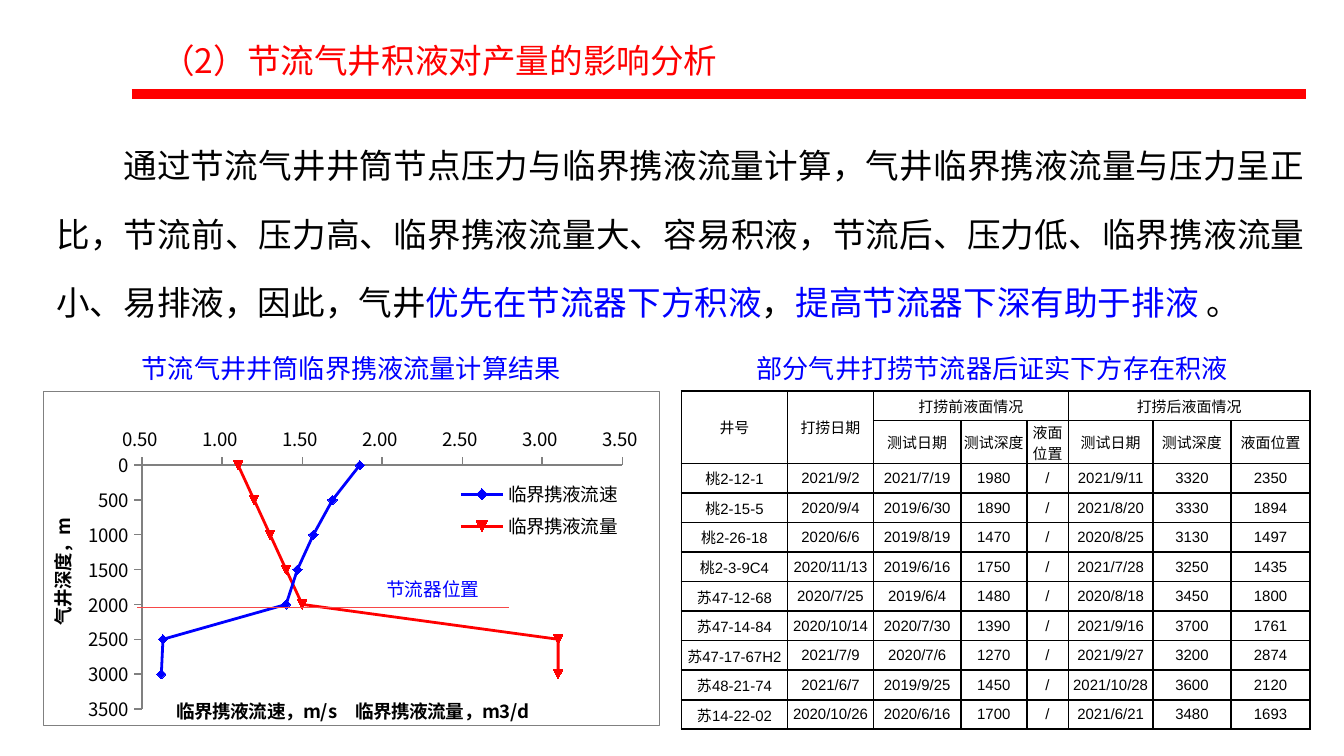
import pptx
import pptx.chart.data
import pptx.dml.color
import pptx.enum.chart
import pptx.enum.shapes
import pptx.enum.text
import pptx.oxml
import pptx.oxml.ns
import pptx.util

# Every place on the slide is given in square cells, 1000 of them across the slide.
SLIDE_WIDTH = pptx.util.Inches(10)
SLIDE_HEIGHT = SLIDE_WIDTH * 9 // 16
CELL = SLIDE_WIDTH // 1000

COLOURS = {"black": "000000", "red": "FF0000", "blue": "0000FF",
           "choke": "F74747", "grey": "808080"}
FONTS = {"main": "Noto Sans CJK SC", "caption": "Noto Sans CJK JP", "table": "Arial"}
ALIGN = pptx.enum.text.PP_ALIGN
ANCHOR = pptx.enum.text.MSO_ANCHOR

BODY_RUNS = [
    ("通过节流气井井筒节点压力与临界携液流量计算，气井临界携液流量与压力呈正比，"
     "节流前、压力高、临界携液流量大、容易积液，节流后、压力低、临界携液流量小、"
     "易排液，因此，气井", "black"),
    ("优先在节流器下方积液", "blue"),
    ("，", "black"),
    ("提高节流器下深有助于排液 ", "blue"),
    ("。", "black"),
]
DEPTHS = range(0, 3001, 500)
SERIES = [
    ("临界携液流速", "blue", [1.86, 1.69, 1.57, 1.47, 1.4, 0.63, 0.62]),
    ("临界携液流量", "red", [1.1, 1.2, 1.3, 1.4, 1.5, 3.1, 3.1]),
]
COLUMN_WIDTHS = [79, 64, 65, 49, 31, 63, 58, 59]
ROW_HEIGHTS = [22, 32] + [22] * 9
GROUP_HEADERS = {0: "井号", 1: "打捞日期", 2: "打捞前液面情况", 5: "打捞后液面情况"}
MEASURES = ["测试日期", "测试深度", "液面位置"]
WELLS = """
桃2-12-1 2021/9/2 2021/7/19 1980 / 2021/9/11 3320 2350
桃2-15-5 2020/9/4 2019/6/30 1890 / 2021/8/20 3330 1894
桃2-26-18 2020/6/6 2019/8/19 1470 / 2020/8/25 3130 1497
桃2-3-9C4 2020/11/13 2019/6/16 1750 / 2021/7/28 3250 1435
苏47-12-68 2020/7/25 2019/6/4 1480 / 2020/8/18 3450 1800
苏47-14-84 2020/10/14 2020/7/30 1390 / 2021/9/16 3700 1761
苏47-17-67H2 2021/7/9 2020/7/6 1270 / 2021/9/27 3200 2874
苏48-21-74 2021/6/7 2019/9/25 1450 / 2021/10/28 3600 2120
苏14-22-02 2020/10/26 2020/6/16 1700 / 2021/6/21 3480 1693
"""


def grid(*cells):
    return [CELL * count for count in cells]


def colour(name):
    return pptx.dml.color.RGBColor.from_string(COLOURS[name])


def apply(target, values):
    for name, value in values.items():
        setattr(target, name, value)


def format_font(font, size, font_name, colour_name="black", bold=False):
    apply(font, {"size": pptx.util.Pt(size), "name": FONTS[font_name], "bold": bold})
    font.color.rgb = colour(colour_name)


def format_line(line, colour_name, width):
    line.color.rgb = colour(colour_name)
    line.width = pptx.util.Pt(width)


def match_east_asian_fonts(element):
    """Use each Latin typeface for Chinese characters as well."""
    for latin in list(element.iter(pptx.oxml.ns.qn("a:latin"))):
        east_asian = latin.makeelement(pptx.oxml.ns.qn("a:ea"), {})
        east_asian.set("typeface", latin.get("typeface"))
        latin.addnext(east_asian)


def fill_text(shape, place, runs, size, font_name, **paragraph_format):
    """Place a shape and give it one paragraph of coloured runs."""
    apply(shape, dict(zip(("left", "top", "width", "height"), grid(*place))))
    frame = shape.text_frame
    apply(frame, {"word_wrap": True, "vertical_anchor": ANCHOR.TOP,
                  "auto_size": pptx.enum.text.MSO_AUTO_SIZE.SHAPE_TO_FIT_TEXT})
    paragraph = frame.paragraphs[0]
    apply(paragraph, paragraph_format)
    for text, colour_name in runs:
        run = paragraph.add_run()
        run.text = text
        format_font(run.font, size, font_name, colour_name)
    match_east_asian_fonts(shape._element)
    return paragraph


def add_text(slide, place, *content, **paragraph_format):
    shape = slide.shapes.add_textbox(*grid(*place))
    return fill_text(shape, place, *content, **paragraph_format)


def add_horizontal_line(slide, left, right, row, colour_name, width):
    connector = slide.shapes.add_connector(
        pptx.enum.shapes.MSO_CONNECTOR.STRAIGHT, *grid(left, row, right, row))
    format_line(connector.line, colour_name, width)
    connector._element.spPr.append(
        pptx.oxml.parse_xml(f'<a:effectLst {pptx.oxml.ns.nsdecls("a")}/>'))


def set_layout(element, index, **shares):
    """Fix a chart part at shares of the chart's size."""
    old = element.find(pptx.oxml.ns.qn("c:layout"))
    if old is not None:
        element.remove(old)
    target = '<c:layoutTarget val="inner"/>' if index == 0 else ""
    modes = "".join(f'<c:{name}Mode val="edge"/>' for name in "xy")
    values = "".join(f'<c:{name} val="{share}"/>' for name, share in shares.items())
    element.insert(index, pptx.oxml.parse_xml(
        f'<c:layout {pptx.oxml.ns.nsdecls("c")}><c:manualLayout>'
        f"{target}{modes}{values}</c:manualLayout></c:layout>"))


def format_axis(axis, title, minimum, maximum, step, rotation, **title_place):
    apply(axis, {"minimum_scale": minimum, "maximum_scale": maximum, "major_unit": step,
                 "has_major_gridlines": False,
                 "major_tick_mark": pptx.enum.chart.XL_TICK_MARK.OUTSIDE})
    format_font(axis.tick_labels.font, 10, "main")
    format_line(axis.format.line, "grey", 0.75)
    frame = axis.axis_title.text_frame
    frame.text = title
    format_font(frame.paragraphs[0].runs[0].font, 10, "main", bold=True)
    frame._txBody.bodyPr.set("rot", str(rotation * 60000))
    set_layout(axis.axis_title._element, 1, **title_place)


def add_depth_chart(slide):
    data = pptx.chart.data.XyChartData()
    for name, _, flows in SERIES:
        series = data.add_series(name)
        for flow, depth in zip(flows, DEPTHS):
            series.add_data_point(flow, depth)
    chart = slide.shapes.add_chart(pptx.enum.chart.XL_CHART_TYPE.XY_SCATTER_LINES,
                                   *grid(32, 291, 459, 252), data).chart
    apply(chart, {"has_title": False, "has_legend": True})
    format_font(chart.font, 10, "main")
    chart.plots[0].vary_by_categories = False
    for number, (series, (_, colour_name, _)) in enumerate(zip(chart.plots[0].series, SERIES), 1):
        series.smooth = False
        # Automatic markers follow the index: a diamond, then a triangle.
        series._element.find(pptx.oxml.ns.qn("c:idx")).set("val", str(number))
        format_line(series.format.line, colour_name, 1.5)
        apply(series.marker, {"style": pptx.enum.chart.XL_MARKER_STYLE.AUTOMATIC, "size": 5})
        series.marker.format.fill.solid()
        series.marker.format.fill.fore_color.rgb = colour(colour_name)
        format_line(series.marker.format.line, colour_name, 0.75)
    format_axis(chart.category_axis, "临界携液流速，m/s　临界携液流量，m3/d",
                0.5, 3.5, 0.5, 0, x=0.21, y=0.9)
    format_axis(chart.value_axis, "气井深度，m", 0, 3500, 500, -90, x=0, y=0.37)
    apply(chart.category_axis.tick_labels, {"number_format": "0.00_ ",
                                            "number_format_is_linked": False})
    chart.value_axis.reverse_order = True
    apply(chart.legend, {"position": pptx.enum.chart.XL_LEGEND_POSITION.RIGHT,
                         "include_in_layout": False})
    format_font(chart.legend.font, 10, "main")
    set_layout(chart.legend._element, 1, x=0.67, y=0.25, w=0.27, h=0.21)
    space = chart._chartSpace
    set_layout(space.chart.plotArea, 0, x=0.16, y=0.22, w=0.78, h=0.73)
    space.chart.addnext(pptx.oxml.parse_xml(
        f'<c:spPr {pptx.oxml.ns.nsdecls("c", "a")}><a:noFill/><a:ln w="9525"><a:solidFill>'
        f'<a:srgbClr val="{COLOURS["grey"]}"/></a:solidFill></a:ln></c:spPr>'))
    match_east_asian_fonts(space)


def format_cell(cell, text):
    apply(cell, {"vertical_anchor": ANCHOR.MIDDLE, "margin_left": 0, "margin_right": 0,
                 "margin_top": 0, "margin_bottom": 0})
    paragraph = cell.text_frame.paragraphs[0]
    paragraph.alignment = ALIGN.CENTER
    format_font(paragraph.font, 8, "table")
    if text:
        run = paragraph.add_run()
        run.text = text
        format_font(run.font, 8, "table")
    properties = cell._tc.get_or_add_tcPr()
    for side in "LRTB":
        properties.append(pptx.oxml.parse_xml(
            f'<a:ln{side} {pptx.oxml.ns.nsdecls("a")} w="12700"><a:solidFill>'
            f'<a:srgbClr val="{COLOURS["black"]}"/></a:solidFill></a:ln{side}>'))
    cell.fill.background()


def add_well_table(slide):
    groups = [GROUP_HEADERS.get(column, "") for column in range(len(COLUMN_WIDTHS))]
    rows = [groups, ["", ""] + MEASURES * 2]
    rows += [line.split() for line in WELLS.strip().splitlines()]
    place = grid(507, 291, sum(COLUMN_WIDTHS), sum(ROW_HEIGHTS))
    table = slide.shapes.add_table(len(rows), len(COLUMN_WIDTHS), *place).table
    apply(table, {"first_row": False, "horz_banding": False})
    for column, width in zip(table.columns, COLUMN_WIDTHS):
        column.width = CELL * width
    for row, height, texts in zip(table.rows, ROW_HEIGHTS, rows):
        row.height = CELL * height
        for cell, text in zip(row.cells, texts):
            format_cell(cell, text)
    for first, last in [((0, 0), (1, 0)), ((0, 1), (1, 1)), ((0, 2), (0, 4)), ((0, 5), (0, 7))]:
        table.cell(*first).merge(table.cell(*last))


def main():
    presentation = pptx.Presentation()
    apply(presentation, {"slide_width": SLIDE_WIDTH, "slide_height": SLIDE_HEIGHT})
    slide = presentation.slides.add_slide(presentation.slide_layouts.get_by_name("Title Only"))
    fill_text(slide.shapes.title, (110, 10, 712, 55),
              [("（2）节流气井积液对产量的影响分析", "red")], 18, "main",
              alignment=ALIGN.JUSTIFY, line_spacing=1.5)
    add_horizontal_line(slide, 98, 972, 70, "red", 5.25)
    add_depth_chart(slide)
    body = add_text(slide, (32, 82, 949, 164), BODY_RUNS, 18, "main",
                    alignment=ALIGN.JUSTIFY, line_spacing=1.7)
    body._p.get_or_add_pPr().set("indent", str(CELL * 50))
    add_horizontal_line(slide, 102, 379, 452, "choke", 0.75)
    add_well_table(slide)
    for place, text, size in [
        ((265, 425, 114, 27), "节流器位置", 10),
        ((33, 257, 457, 34), "节流气井井筒临界携液流量计算结果", 14),
        ((510, 257, 457, 34), "部分气井打捞节流器后证实下方存在积液", 14),
    ]:
        add_text(slide, place, [(text, "blue")], size, "caption", alignment=ALIGN.CENTER)
    presentation.save("out.pptx")


if __name__ == "__main__":
    main()
